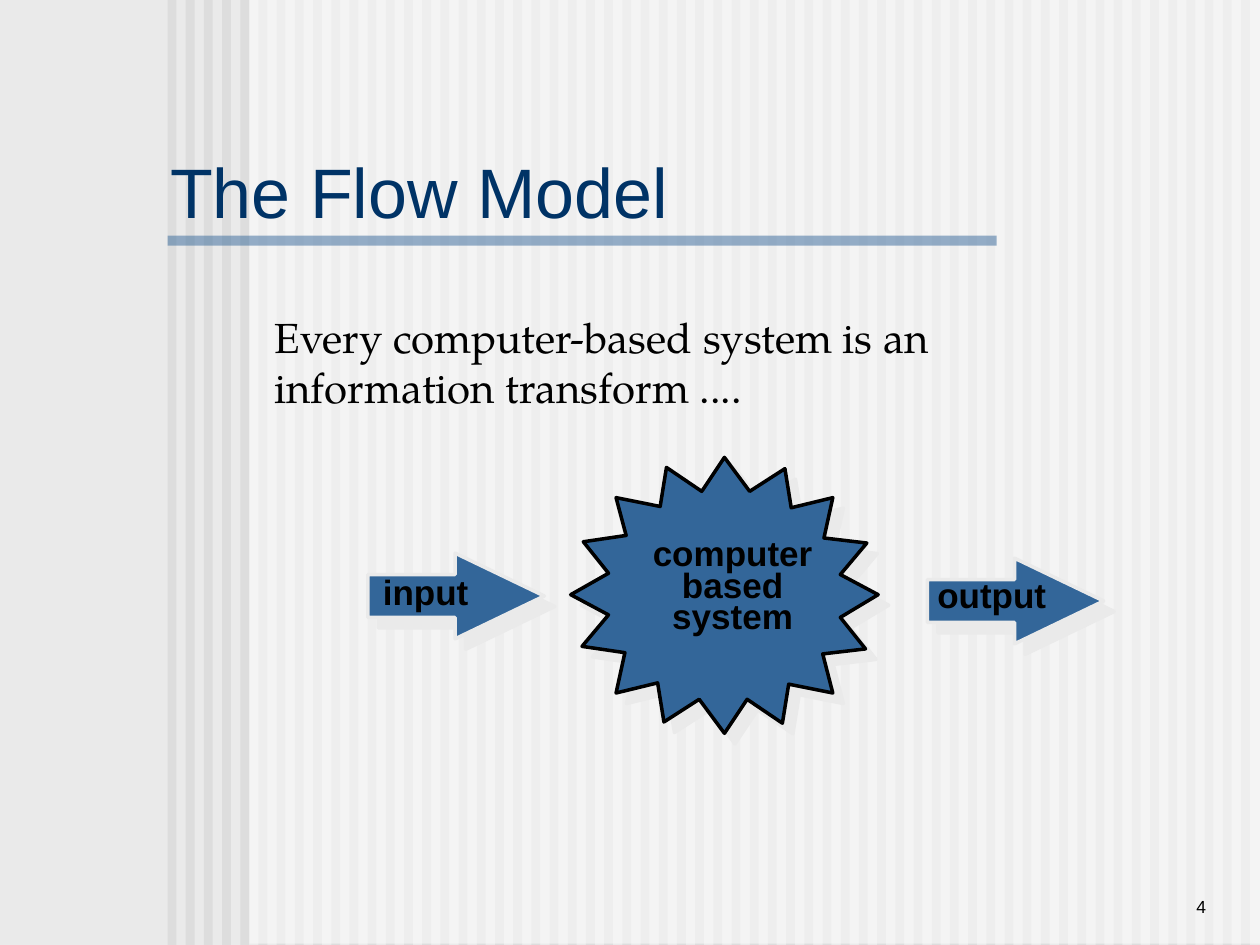
from lxml import etree
from pptx import Presentation
from pptx.dml.color import RGBColor
from pptx.enum.shapes import MSO_SHAPE as Preset
from pptx.enum.text import MSO_ANCHOR as Anchor, MSO_AUTO_SIZE as Fit, PP_ALIGN as Align
from pptx.oxml.ns import qn
from pptx.util import Inches, Pt

# Content
TITLE = "The Flow Model"
STATEMENT = ["Every computer-based system is an", "information transform ...."]
SYSTEM = ["computer", "based", "system"]
PAGE = "4"
W, H = 10, 7.5
COLORS = {"back": "EAEAEA", "stripe": "DDDDDD", "veil": "FFFFFF", "blue": "336699",
          "title": "003366", "text": "000000"}
STRIPES = {"count": 60, "left": 1.33, "last": 9.85, "width": 0.07}
BURST = [
    (4.53, 4.72), (4.83, 4.88), (4.62, 5.13), (4.96, 5.18), (4.89, 5.5), (5.22, 5.42),
    (5.27, 5.73), (5.55, 5.55), (5.75, 5.82), (5.93, 5.55), (6.21, 5.74), (6.26, 5.43),
    (6.61, 5.5), (6.53, 5.19), (6.87, 5.15), (6.67, 4.9), (6.97, 4.72), (6.67, 4.56),
    (6.88, 4.31), (6.54, 4.27), (6.61, 3.95), (6.28, 4.03), (6.23, 3.72), (5.95, 3.9),
    (5.75, 3.63), (5.57, 3.9), (5.29, 3.71), (5.24, 4.02), (4.89, 3.95), (4.97, 4.25),
    (4.63, 4.3), (4.83, 4.55),
]
ARROWS = [(2.92, 4.39), (7.36, 4.43)]
ARROW_SIZE = (1.4, 0.68)
BOLD = {"size": Pt(20), "name": "Arial", "bold": True}
TEXTS = [  # lines, box, font, paragraph format
    (STATEMENT, (2.08, 2.42, 5.6, 0.9), {"size": Pt(24), "name": "TeX Gyre Pagella"}, {}),
    (SYSTEM, (5.03, 4.25, 1.57, 0.85), BOLD, {"alignment": Align.CENTER, "line_spacing": 0.75}),
    (["input"], (2.94, 4.48, 0.95, 0.43), BOLD, {}),
    (["output"], (7.34, 4.5, 1.15, 0.43), BOLD, {}),
]


def rgb(key):
    return RGBColor.from_string(COLORS[key])


def inches(values):
    return [Inches(value) for value in values]


def set_all(target, values):
    for key, value in values.items():
        setattr(target, key, value)


def paint(shape, fill, line=None, alpha=None):
    shape.shadow.inherit = False
    shape.fill.solid()
    shape.fill.fore_color.rgb = rgb(fill)
    if alpha:
        color = shape.fill._xPr.find(".//" + qn("a:srgbClr"))
        etree.SubElement(color, qn("a:alpha"), val=str(alpha * 1000))
    if line:
        shape.line.color.rgb = rgb(line)
        shape.line.width = Pt(2)
    else:
        shape.line.fill.background()


def cast_shadow(shape):
    effects = shape._element.spPr.find(qn("a:effectLst"))
    shadow = etree.SubElement(effects, qn("a:outerShdw"), dist=str(Pt(8.5)),
                              dir=str(45 * 60000), algn="ctr", rotWithShape="0")
    etree.SubElement(shadow, qn("a:srgbClr"), val=COLORS["back"])


def write(frame, lines, font, layout, color="text"):
    frame.text = "\n".join(lines)
    for paragraph in frame.paragraphs:
        set_all(paragraph, layout)
        for run in paragraph.runs:
            set_all(run.font, font)
            run.font.color.rgb = rgb(color)


deck = Presentation()
deck.slide_width, deck.slide_height = inches((W, H))
slide = deck.slides.add_slide(deck.slide_layouts[5])
shapes = slide.shapes
slide.background.fill.solid()
slide.background.fill.fore_color.rgb = rgb("back")

# Striped backdrop, half-transparent veil and title rule
pitch = (STRIPES["last"] - STRIPES["left"]) / (STRIPES["count"] - 1)
bands = [((STRIPES["left"] + i * pitch, 0, STRIPES["width"], H), "stripe", None)
         for i in range(STRIPES["count"])]
bands += [((1.98, -0.01, W - 1.98, H), "veil", 50), ((1.33, 1.87, 6.58, 0.08), "blue", 50)]
for box, fill, alpha in bands:
    paint(shapes.add_shape(Preset.RECTANGLE, *inches(box)), fill, alpha=alpha)

# Title, raised above the backdrop
title = shapes.title
shapes._spTree.append(title._element)
set_all(title, dict(zip(("left", "top", "width", "height"), inches((1.25, 1.25, 7.83, 0.53)))))
set_all(title.text_frame, {"vertical_anchor": Anchor.MIDDLE, "auto_size": Fit.NONE,
                           "word_wrap": True})
write(title.text_frame, [TITLE], {"size": Pt(40), "name": "Arial"},
      {"alignment": Align.LEFT}, "title")

# Burst and arrows
corners = [inches(corner) for corner in BURST]
pen = shapes.build_freeform(*corners[0])
pen.add_line_segments(corners[1:], close=True)
burst = pen.convert_to_shape()
paint(burst, "blue", "text")
cast_shadow(burst)
for corner in ARROWS:
    arrow = shapes.add_shape(Preset.RIGHT_ARROW, *inches(corner + ARROW_SIZE))
    arrow.adjustments[1] = 1.04
    paint(arrow, "blue", "back")
    cast_shadow(arrow)

# Statement and labels
for lines, box, font, layout in TEXTS:
    frame = shapes.add_textbox(*inches(box)).text_frame
    set_all(frame, {"word_wrap": True, "auto_size": Fit.SHAPE_TO_FIT_TEXT})
    write(frame, lines, font, layout)

# Page number
number = shapes.add_textbox(*inches((8.25, 6.83, 1.42, 0.5))).text_frame
set_all(number, {"word_wrap": True, "vertical_anchor": Anchor.BOTTOM})
write(number, [PAGE], {"size": Pt(10), "name": "Arial"}, {"alignment": Align.RIGHT})

deck.save("out.pptx")
